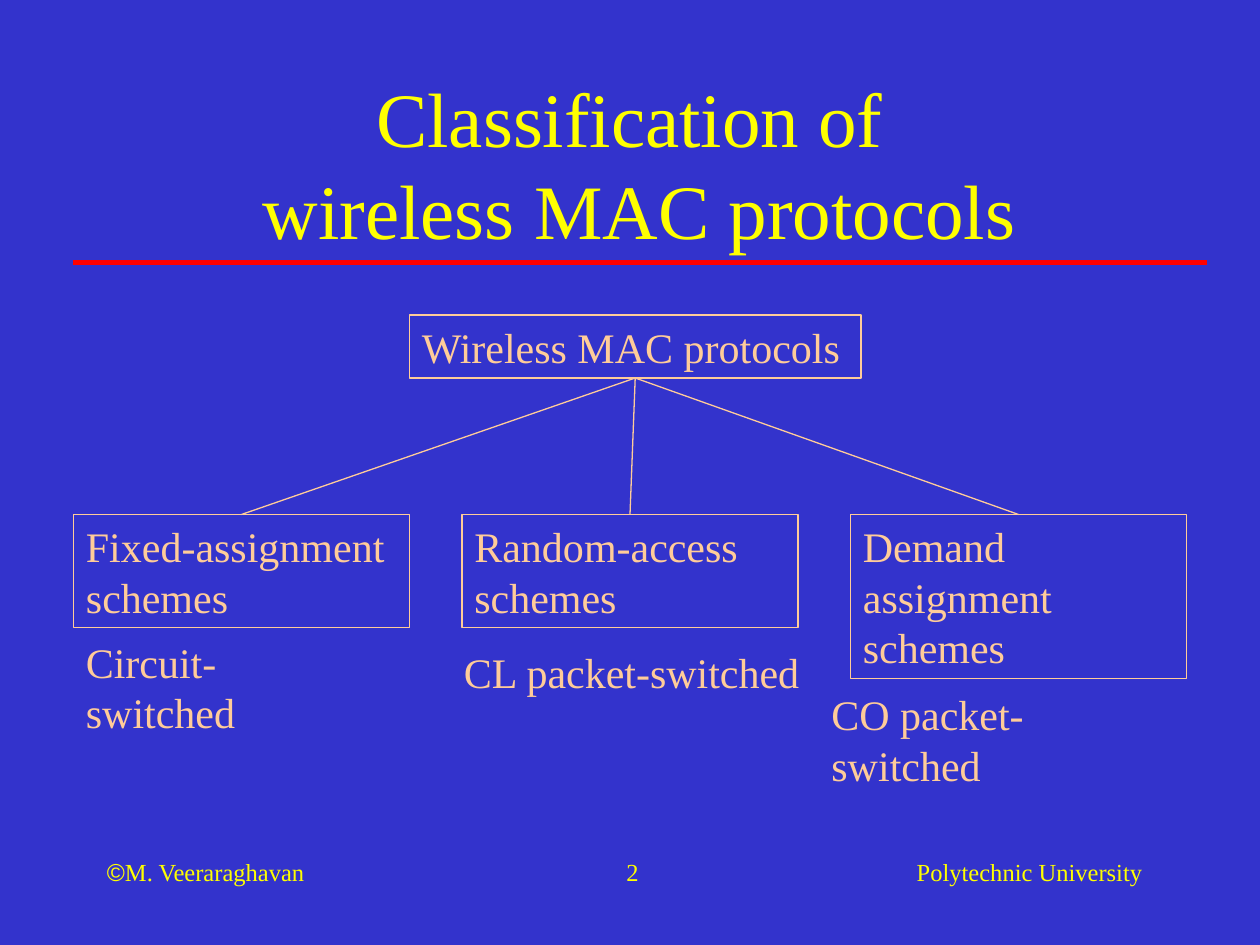
from lxml.etree import SubElement
from pptx import Presentation
from pptx.dml.color import RGBColor
from pptx.enum.shapes import MSO_CONNECTOR, MSO_SHAPE
from pptx.enum.text import MSO_ANCHOR as Anchor, PP_ALIGN as Align
from pptx.oxml.ns import qn
from pptx.util import Inches, Pt

COLORS = {"background": "3333CC", "heading": "FFFF00", "rule": "FF0000", "diagram": "FFCC99"}
SERIF = "Times New Roman"
TOP, BOTTOM = 0, 2

# Scheme, box height in rows, switching type, and its column, row and width
SCHEMES = [
    ("Fixed-assignment schemes", 10.8, "Circuit-switched", 7, 60, 29),
    ("Random-access schemes", 10.8, "CL packet-switched", 43, 61, 34.4),
    ("Demand assignment schemes", 15.6, "CO packet-switched", 78, 65, 34.9),
]
FIRST_COLUMN, COLUMN_STEP, SCHEME_ROW, SCHEME_WIDTH = 7, 37, 49, 32


def grid(*cells):
    """Turn grid counts into lengths; the slide has 120 columns and 90 rows."""
    return [Inches(cell / 12) for cell in cells]


def rgb(name):
    return RGBColor.from_string(COLORS[name])


def add_run(paragraph, text, size, color, font=SERIF):
    run = paragraph.add_run()
    run.text = text
    run.font.name = font
    run.font.size = Pt(size)
    run.font.color.rgb = rgb(color)


def add_text(slide, area, runs, size, color, align=Align.LEFT, anchor=Anchor.TOP, wrap=True):
    """Add a text box; runs holds (text, font) pairs, and None breaks the line."""
    frame = slide.shapes.add_textbox(*grid(*area)).text_frame
    frame.word_wrap = wrap
    frame.vertical_anchor = anchor
    paragraph = frame.paragraphs[0]
    paragraph.alignment = align
    for run in runs:
        if run is None:
            paragraph.add_line_break()
        else:
            add_run(paragraph, run[0], size, color, run[1])


def add_box(slide, area, text):
    box = slide.shapes.add_shape(MSO_SHAPE.RECTANGLE, *grid(*area))
    box.shadow.inherit = False
    box.fill.background()
    box.line.color.rgb = rgb("diagram")
    box.line.width = Pt(0.75)
    frame = box.text_frame
    frame.word_wrap = True
    frame.vertical_anchor = Anchor.TOP
    paragraph = frame.paragraphs[0]
    paragraph.alignment = Align.LEFT
    add_run(paragraph, text, 24, "diagram")
    return box


def add_line(slide, ends, color, width):
    line = slide.shapes.add_connector(MSO_CONNECTOR.STRAIGHT, *grid(*ends))
    line.line.color.rgb = rgb(color)
    line.line.width = Pt(width)
    SubElement(line._element.spPr, qn("a:effectLst"))
    return line


def add_branch(slide, parent, child):
    branch = add_line(slide, (0, 0, 0, 0), "diagram", 0.75)
    branch.begin_connect(parent, BOTTOM)
    branch.end_connect(child, TOP)


def add_heading(slide):
    add_line(slide, (7, 25, 115, 25), "rule", 3)
    title = [("Classification of", SERIF), None, (" wireless MAC protocols", SERIF)]
    add_text(slide, (9, 8, 102, 15), title, 44, "heading", Align.CENTER, Anchor.MIDDLE)


def add_tree(slide):
    root = add_box(slide, (39, 30, 43, 6), "Wireless MAC protocols")
    for index, (scheme, height, switching, column, row, width) in enumerate(SCHEMES):
        left = FIRST_COLUMN + index * COLUMN_STEP
        box = add_box(slide, (left, SCHEME_ROW, SCHEME_WIDTH, height), scheme)
        add_branch(slide, root, box)
        add_text(slide, (column, row, width, 6), [(switching, SERIF)], 24, "diagram", wrap=False)


def add_footer(slide):
    for column, width, align, runs in [
        (9, 23, Align.LEFT, [("©", "Arial"), ("M. Veeraraghavan", SERIF)]),
        (51, 11, Align.RIGHT, [("2", SERIF)]),
        (81, 29, Align.RIGHT, [("Polytechnic University", SERIF)]),
    ]:
        add_text(slide, (column, 81, width, 6), runs, 14, "heading", align)


def main():
    presentation = Presentation()
    presentation.slide_width, presentation.slide_height = grid(120, 90)
    slide = presentation.slides.add_slide(presentation.slide_layouts[6])
    slide.background.fill.solid()
    slide.background.fill.fore_color.rgb = rgb("background")
    add_heading(slide)
    add_tree(slide)
    add_footer(slide)
    presentation.save("out.pptx")


if __name__ == "__main__":
    main()
